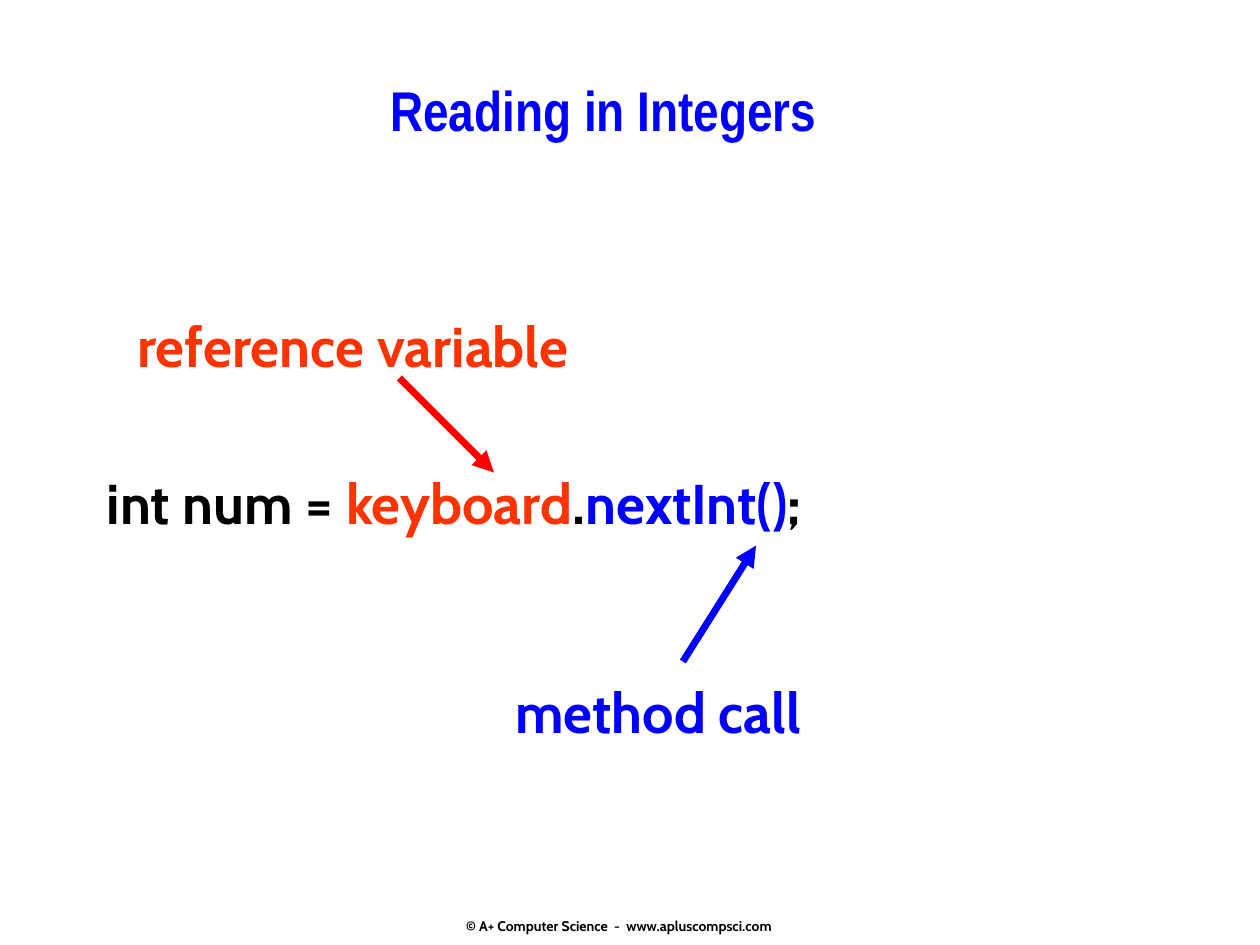
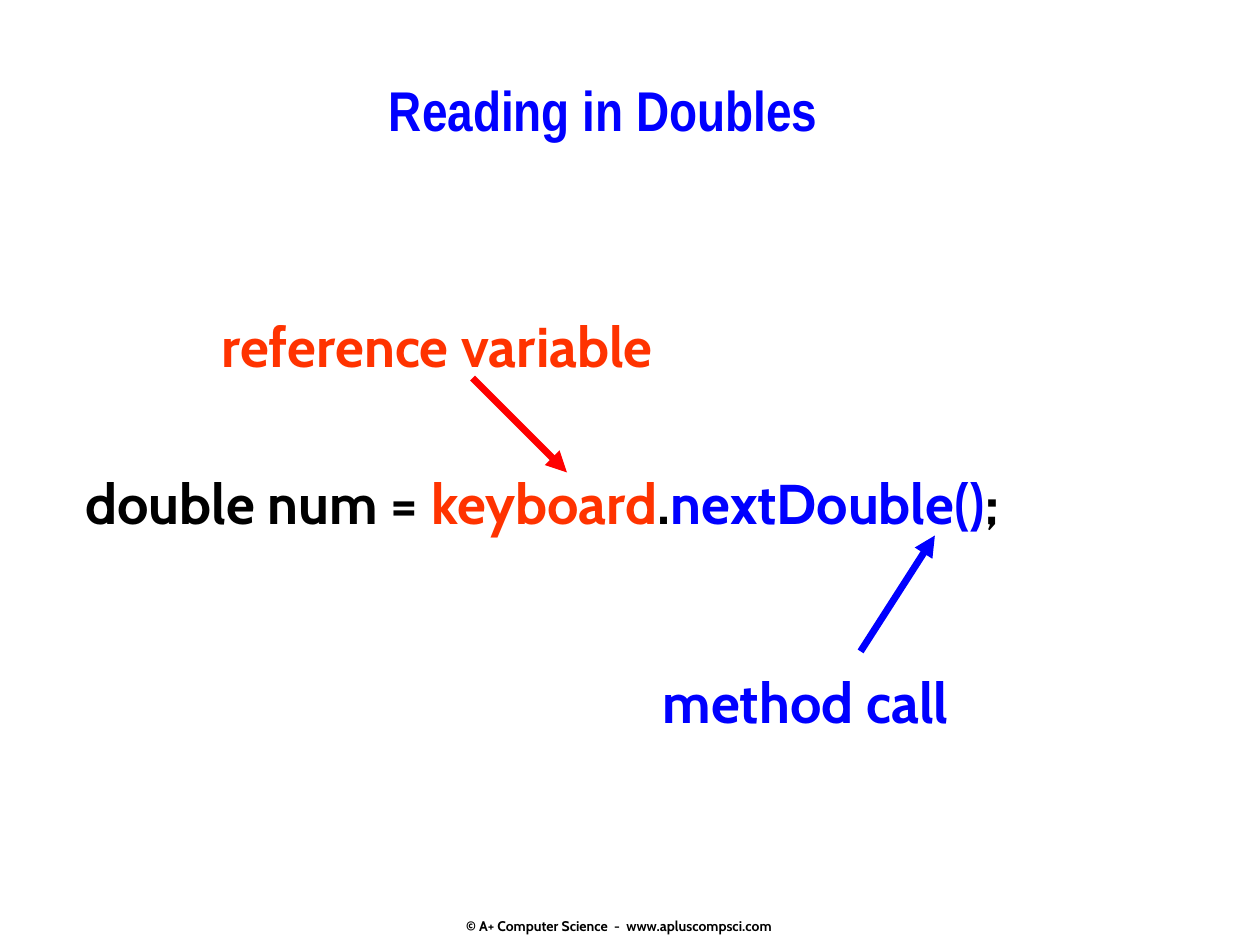
"""Build two slides that explain reading numbers from the keyboard."""
from dataclasses import dataclass

from lxml import etree
from pptx import Presentation
from pptx import util as u
from pptx.dml.color import RGBColor
from pptx.enum import shapes, text
from pptx.oxml.ns import qn


@dataclass(frozen=True)
class Theme:
    """Colours, fonts and type sizes shared by the slides."""
    background: str = "FFFFFF"
    ink: str = "000000"
    reference: str = "FF3300"
    reference_arrow: str = "FF0000"
    method: str = "0000FF"
    title_font: str = "Arial Narrow"
    body_font: str = "Cabin"
    main_size: int = 32
    footer_size: int = 8
    arrow_width: int = 4


THEME = Theme()
FOOTER = "© A+ Computer Science  -  www.apluscompsci.com"


def color(value):
    """Turn a hex string into a colour."""
    return RGBColor.from_string(value)


def place(shape, left, top, width, height):
    """Set the position and size of a shape in inches."""
    shape.left, shape.top = u.Inches(left), u.Inches(top)
    shape.width, shape.height = u.Inches(width), u.Inches(height)


def style_run(run, fill, size=THEME.main_size, font=THEME.body_font):
    """Format a run in bold with the given colour, size and font."""
    run.font.name = font
    run.font.size = u.Pt(size)
    run.font.bold = True
    run.font.color.rgb = color(fill)


def add_title(slide, words):
    """Fill and format the title placeholder."""
    title = slide.shapes.title
    place(title, 1.75, 0.5, 6.08, 0.83)
    frame = title.text_frame
    frame.text = words
    frame.auto_size = text.MSO_AUTO_SIZE.NONE
    frame.vertical_anchor = text.MSO_ANCHOR.TOP
    frame.margin_top = u.Inches(0.1)
    paragraph = frame.paragraphs[0]
    paragraph.alignment = text.PP_ALIGN.CENTER
    style_run(paragraph.runs[0], THEME.method, font=THEME.title_font)


def add_label(slide, words, left, top, width, fill):
    """Add a one-line label beside an arrow."""
    label = slide.shapes.add_textbox(*map(u.Inches, (left, top, width, 0.64)))
    frame = label.text_frame
    frame.word_wrap = False
    frame.text = words
    style_run(frame.paragraphs[0].runs[0], fill)


def add_footer(slide):
    """Add the copyright line at the foot of the slide."""
    footer = slide.shapes.add_textbox(*map(u.Inches, (3.33, 7.2, 3.17, 0.3)))
    frame = footer.text_frame
    frame.word_wrap = True
    frame.vertical_anchor = text.MSO_ANCHOR.MIDDLE
    frame.text = FOOTER
    paragraph = frame.paragraphs[0]
    paragraph.alignment = text.PP_ALIGN.CENTER
    style_run(paragraph.runs[0], THEME.ink, THEME.footer_size)


def add_statement(slide, left, width, declaration, method):
    """Add the line of code with its parts in colour."""
    box = slide.shapes.add_shape(
        shapes.MSO_SHAPE.RECTANGLE, *map(u.Inches, (left, 3.67, width, 0.63)))
    box.shadow.inherit = False
    box.fill.solid()
    box.fill.fore_color.rgb = color(THEME.background)
    box.line.fill.background()
    frame = box.text_frame
    frame.word_wrap = True
    frame.vertical_anchor = text.MSO_ANCHOR.TOP
    paragraph = frame.paragraphs[0]
    paragraph.alignment = text.PP_ALIGN.LEFT
    parts = ((declaration, THEME.ink), ("keyboard", THEME.reference),
             (".", THEME.ink), (method, THEME.method), (";", THEME.ink))
    for words, fill in parts:
        run = paragraph.add_run()
        run.text = words
        style_run(run, fill)


def add_arrow(slide, start, end, fill):
    """Add a straight arrow from start to end."""
    arrow = slide.shapes.add_connector(
        shapes.MSO_CONNECTOR.STRAIGHT, *map(u.Inches, start + end))
    arrow.line.color.rgb = color(fill)
    arrow.line.width = u.Pt(THEME.arrow_width)
    properties = arrow._element.spPr
    etree.SubElement(properties.find(qn("a:ln")), qn("a:tailEnd"), type="triangle")
    etree.SubElement(properties, qn("a:effectLst"))


def add_reading_slide(presentation, title, statement, reference_left,
                      reference_arrow_left, method_label, method_arrow):
    """Add a slide that names the parts of one input statement."""
    slide = presentation.slides.add_slide(presentation.slide_layouts[5])
    slide.background.fill.solid()
    slide.background.fill.fore_color.rgb = color(THEME.background)
    add_title(slide, title)
    add_footer(slide)
    add_statement(slide, *statement)
    add_arrow(slide, (reference_arrow_left, 3), (reference_arrow_left + 0.75, 3.75),
              THEME.reference_arrow)
    add_label(slide, "reference variable", reference_left, 2.42, 4.27, THEME.reference)
    add_arrow(slide, *method_arrow, THEME.method)
    add_label(slide, "method call", *method_label, 2.82, THEME.method)


def main():
    """Build and save the presentation."""
    presentation = Presentation()
    presentation.slide_width = u.Inches(10)
    presentation.slide_height = u.Inches(7.5)
    add_reading_slide(
        presentation, "Reading in Integers",
        statement=(0.75, 7.17, "int num = ", "nextInt()"),
        reference_left=0.99, reference_arrow_left=3.17,
        method_label=(3.99, 5.33), method_arrow=((5.42, 5.25), (6, 4.33)))
    add_reading_slide(
        presentation, "Reading in Doubles",
        statement=(0.58, 8.83, "double num = ", "nextDouble()"),
        reference_left=1.66, reference_arrow_left=3.75,
        method_label=(5.16, 5.25), method_arrow=((6.83, 5.17), (7.42, 4.25)))
    presentation.save("out.pptx")


if __name__ == "__main__":
    main()
